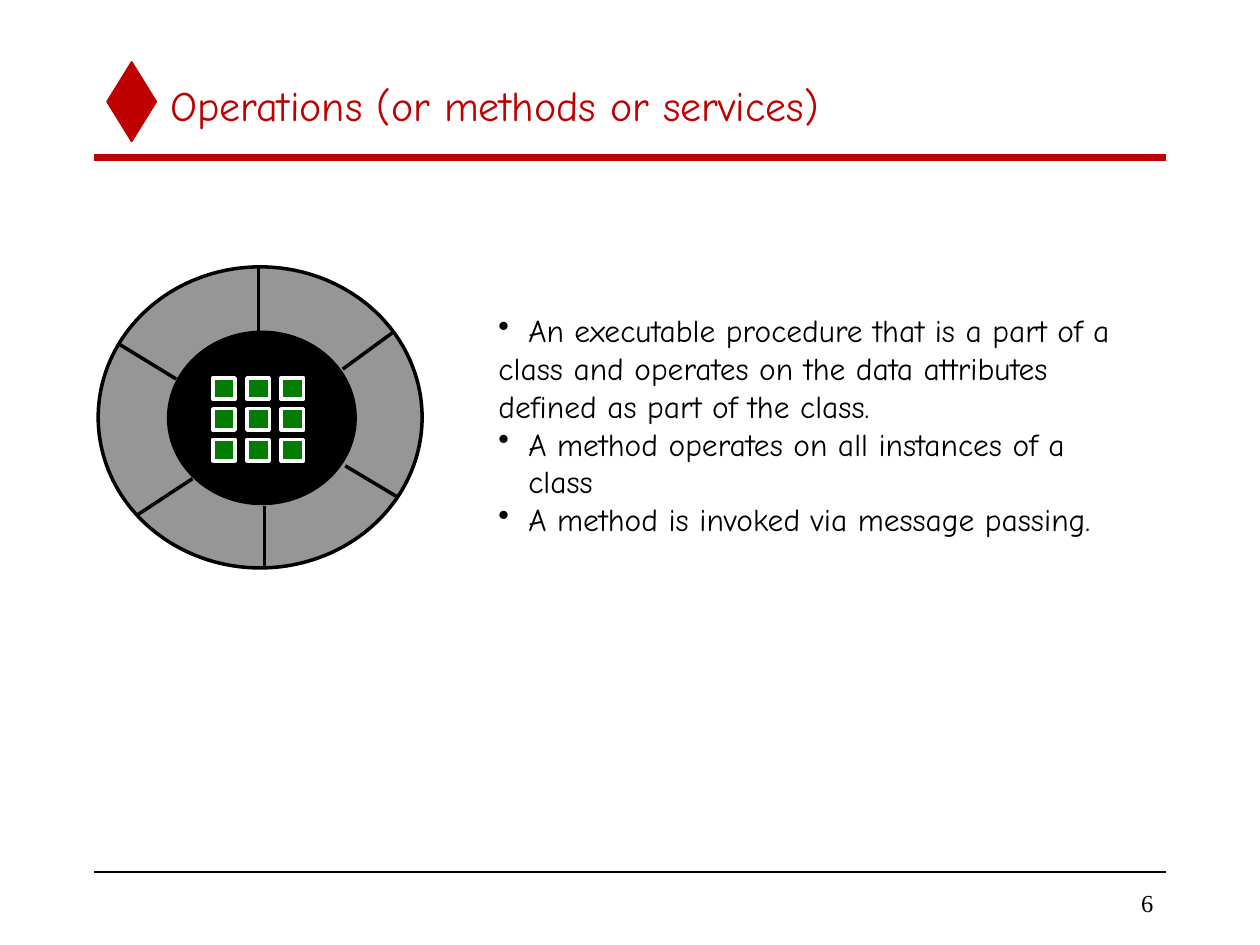
import pptx
import pptx.util
import pptx.dml.color
import pptx.enum.shapes
import pptx.enum.text
import pptx.oxml.ns
from lxml import etree

Cm, Pt = pptx.util.Cm, pptx.util.Pt
SHAPE = pptx.enum.shapes.MSO_SHAPE
ALIGN = pptx.enum.text.PP_ALIGN
ANCHOR = pptx.enum.text.MSO_ANCHOR
qn = pptx.oxml.ns.qn

COLORS = {"red": "C00000", "black": "000000", "grey": "969696",
          "green": "037C03", "white": "FFFFFF"}
FONT = "Comic Neue"
INDENT = Cm(0.6)

# Text and whether its line starts a bullet
BODY = [
    ("An executable procedure that is a part of a", True),
    ("class and operates on the data attributes", False),
    ("defined as part of the class.", False),
    ("A method operates on all instances of a class", True),
    ("A method is invoked via message passing.", True),
]
# Spokes of the wheel, inner end to outer end, in cm from its top left
SPOKES = [
    (3.23, 1.3, 3.23, 0), (4.93, 2.06, 5.97, 1.3), (4.98, 4.01, 6.05, 4.65),
    (3.35, 4.83, 3.35, 6.07), (1.9, 4.27, 0.79, 5), (1.57, 2.26, 0.41, 1.55),
]


def rgb(name):
    return pptx.dml.color.RGBColor.from_string(COLORS[name])


def add_shape(s, kind, x, y, w, h, fill, line, weight):
    sp = s.shapes.add_shape(kind, Cm(x), Cm(y), Cm(w), Cm(h))
    sp.shadow.inherit = False
    sp.fill.solid()
    sp.fill.fore_color.rgb = rgb(fill)
    sp.line.color.rgb = rgb(line)
    sp.line.width = Pt(weight)


def add_line(s, x1, y1, x2, y2, color="black", weight=2):
    ln = s.shapes.add_connector(pptx.enum.shapes.MSO_CONNECTOR.STRAIGHT,
                                Cm(x1), Cm(y1), Cm(x2), Cm(y2))
    ln.line.color.rgb = rgb(color)
    ln.line.width = Pt(weight)
    etree.SubElement(ln._element.spPr, qn("a:effectLst"))


def add_text_frame(s, x, y, w, h, anchor=ANCHOR.MIDDLE):
    tf = s.shapes.add_textbox(Cm(x), Cm(y), Cm(w), Cm(h)).text_frame
    tf.word_wrap = True
    tf.vertical_anchor = anchor
    return tf


def write(p, text, size=18, font=FONT, color="black", align=ALIGN.LEFT, bullet=False):
    p.alignment = align
    r = p.add_run()
    r.text = text
    r.font.size = Pt(size)
    r.font.name = font
    r.font.color.rgb = rgb(color)
    if bullet:
        pPr = p._p.get_or_add_pPr()
        pPr.set("marL", str(INDENT))
        pPr.set("indent", str(-INDENT))
        etree.SubElement(pPr, qn("a:buChar")).set("char", "•")


def add_header(s, x, y, w):
    add_shape(s, SHAPE.DIAMOND, x + 0.26, y, 0.99, 1.6, "red", "red", 1)
    add_line(s, x, y + 1.93, x + w, y + 1.93, "red", 4)
    tf = add_text_frame(s, x + 1.28, y + 0.02, w - 1.28, 1.7)
    write(tf.paragraphs[0], "Operations (or methods or services)", size=24, color="red")


def add_wheel(s, x, y, w, h):
    add_shape(s, SHAPE.OVAL, x, y, w, h, "grey", "black", 2)
    add_shape(s, SHAPE.OVAL, x + 1.42, y + 1.32, 3.76, 3.45, "black", "black", 2)
    for x1, y1, x2, y2 in SPOKES:
        add_line(s, x + x1, y + y1, x + x2, y + y2)
    # Grid of attributes in the core
    for row in range(3):
        for col in range(3):
            add_shape(s, SHAPE.RECTANGLE, x + 2.31 + col * 0.69, y + 2.24 + row * 0.62,
                      0.45, 0.43, "green", "white", 2)


def add_body(s, x, y, w, h):
    tf = add_text_frame(s, x, y, w, h, ANCHOR.TOP)
    for i, (text, bullet) in enumerate(BODY):
        p = tf.add_paragraph() if i else tf.paragraphs[0]
        write(p, text, bullet=bullet)


def add_footer(s, x, y, w):
    add_line(s, x, y, x + w, y, weight=1)
    tf = add_text_frame(s, x + w - 3.6, y + 0.2, 3.6, 0.84)
    write(tf.paragraphs[0], "6", size=14, font="Times New Roman", align=ALIGN.RIGHT)


def main():
    prs = pptx.Presentation()
    prs.slide_width, prs.slide_height = Cm(25.4), Cm(19.05)
    s = prs.slides.add_slide(prs.slide_layouts[6])
    add_header(s, 1.9, 1.25, 21.6)
    add_footer(s, 1.9, 17.58, 21.6)
    add_wheel(s, 1.98, 5.38, 6.53, 6.07)
    add_body(s, 9.8, 6.15, 13.08, 4.06)
    prs.save("out.pptx")


if __name__ == "__main__":
    main()
